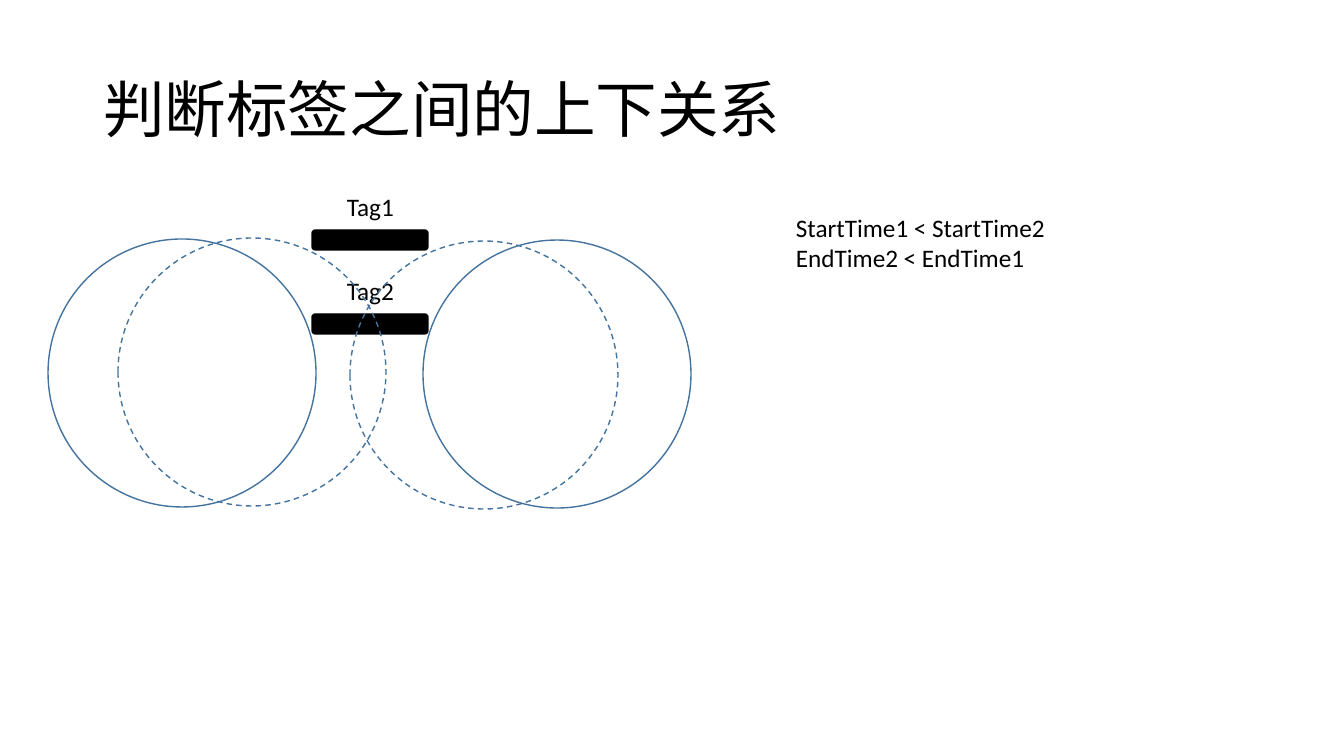
from dataclasses import dataclass

from pptx import Presentation
from pptx.dml.color import RGBColor
from pptx.enum.dml import MSO_LINE
from pptx.enum.shapes import MSO_SHAPE
from pptx.enum.text import MSO_ANCHOR, MSO_AUTO_SIZE, PP_ALIGN
from pptx.text.text import TextFrame
from pptx.util import Emu, Pt

SCALE = 914400 / 100.8


@dataclass(frozen=True)
class Theme:
    font: str = "Calibri"
    ink: RGBColor = RGBColor(0, 0, 0)
    ring: RGBColor = RGBColor(0x43, 0x73, 0x9E)
    title: int = 44
    body: int = 18
    line: int = 1


@dataclass(frozen=True)
class Box:
    left: int
    top: int
    width: int
    height: int

    def place(self) -> list[Emu]:
        return [px(n) for n in (self.left, self.top, self.width, self.height)]


@dataclass(frozen=True)
class Tag:
    name: str
    top: int


@dataclass(frozen=True)
class Ring:
    left: int
    top: int
    dashed: bool


THEME = Theme()
SIZE = 268
GAP = 84
FIRST = 186
TAGS = [Tag("Tag2", FIRST + GAP), Tag("Tag1", FIRST)]
RINGS = [
    Ring(423, 240, False),
    Ring(350, 241, True),
    Ring(118, 238, True),
    Ring(48, 239, False),
]


def px(count: int) -> Emu:
    return Emu(round(count * SCALE))


def style(frame: TextFrame, size: int) -> None:
    for para in frame.paragraphs:
        para.alignment = PP_ALIGN.LEFT
        for run in para.runs:
            run.font.name = THEME.font
            run.font.size = Pt(size)
            run.font.color.rgb = THEME.ink


def label(text: str, box: Box) -> None:
    frame = slide.shapes.add_textbox(*box.place()).text_frame
    frame.text = text
    frame.word_wrap = False
    frame.auto_size = MSO_AUTO_SIZE.SHAPE_TO_FIT_TEXT
    style(frame, THEME.body)


def draw_tag(tag: Tag) -> None:
    box = Box(360, tag.top - 4, 20, 116)
    bar = slide.shapes.add_shape(MSO_SHAPE.ROUNDED_RECTANGLE, *box.place())
    bar.rotation = 90
    bar.shadow.inherit = False
    bar.fill.solid()
    bar.fill.fore_color.rgb = THEME.ink
    bar.line.color.rgb = THEME.ink
    bar.line.width = Pt(THEME.line)
    label(tag.name, Box(337, tag.top, 67, 40))


def draw_ring(ring: Ring) -> None:
    box = Box(ring.left, ring.top, SIZE, SIZE)
    oval = slide.shapes.add_shape(MSO_SHAPE.OVAL, *box.place())
    oval.shadow.inherit = False
    oval.fill.background()
    oval.line.color.rgb = THEME.ring
    oval.line.width = Pt(THEME.line)
    if ring.dashed:
        oval.line.dash_style = MSO_LINE.DASH


deck = Presentation()
deck.slide_width, deck.slide_height = px(1344), px(756)
slide = deck.slides.add_slide(deck.slide_layouts[5])

title = slide.shapes.title
title.left, title.top, title.width, title.height = Box(93, 40, 1159, 146).place()
head = title.text_frame
head.text = "判断标签之间的上下关系"
head.vertical_anchor = MSO_ANCHOR.MIDDLE
head.auto_size = MSO_AUTO_SIZE.NONE
head.paragraphs[0].line_spacing = 0.9
style(head, THEME.title)

for tag in TAGS:
    draw_tag(tag)
for ring in RINGS:
    draw_ring(ring)
label("StartTime1 < StartTime2\nEndTime2 < EndTime1", Box(786, 207, 272, 72))

deck.save("out.pptx")
